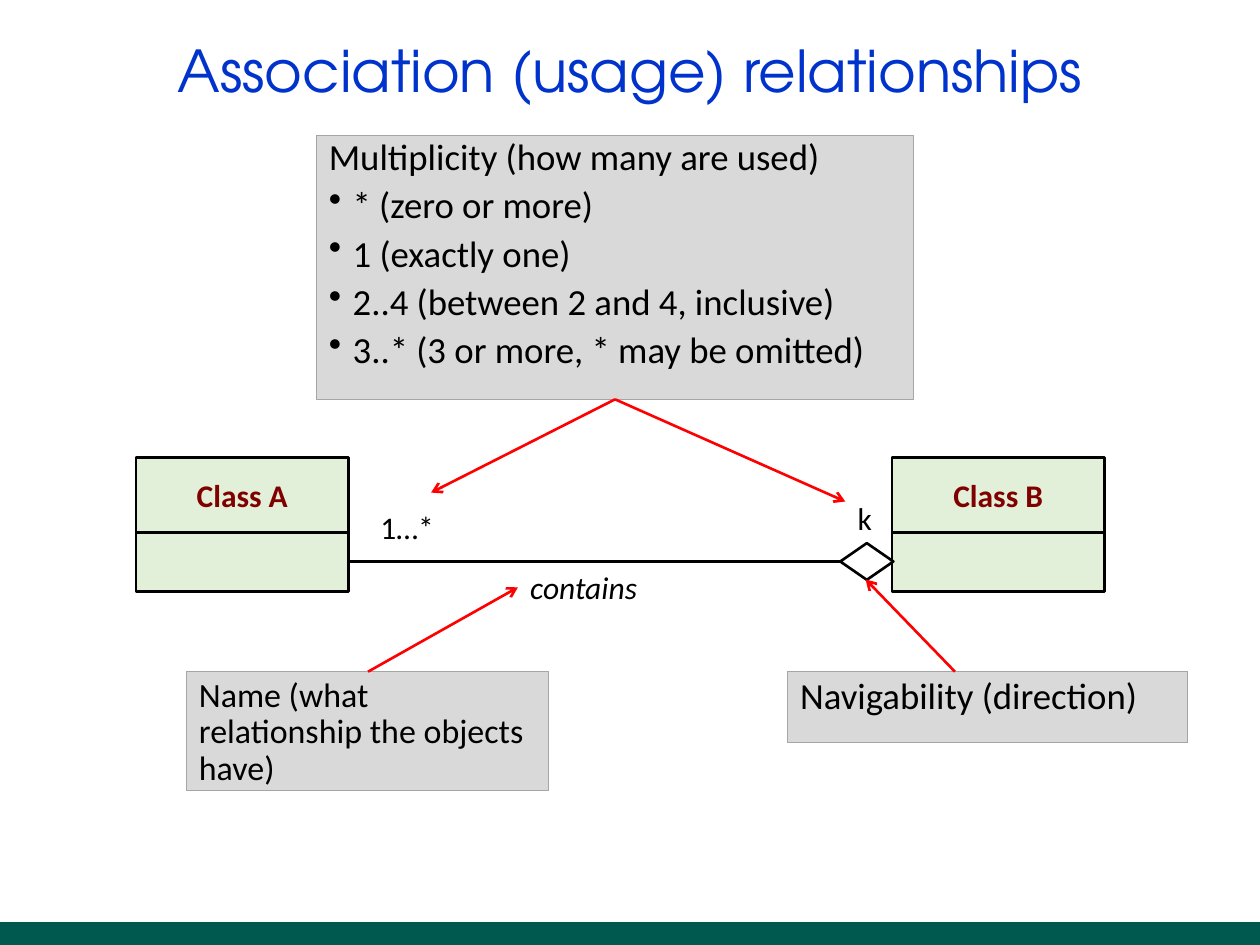
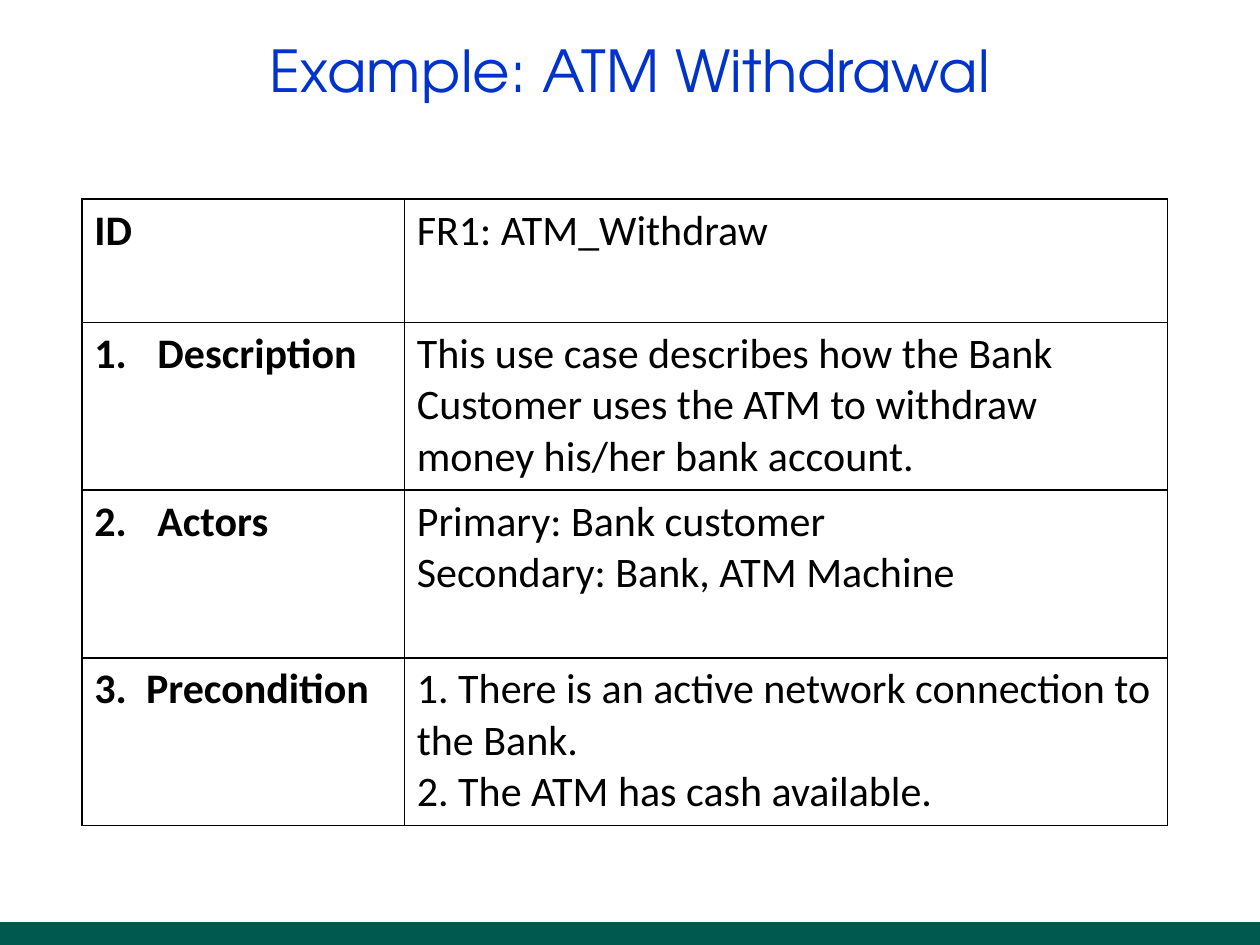
from collections import namedtuple

from lxml.etree import SubElement
from pptx import Presentation
from pptx.dml.color import RGBColor
from pptx.enum.shapes import MSO_CONNECTOR, MSO_SHAPE
from pptx.enum.text import MSO_ANCHOR, MSO_AUTO_SIZE, PP_ALIGN
from pptx.oxml.ns import qn
from pptx.util import Cm, Pt

BLUE = RGBColor(0x00, 0x33, 0xCC)
TEAL = RGBColor(0x00, 0x59, 0x4F)
BLACK = RGBColor(0x00, 0x00, 0x00)
RED = RGBColor(0xFF, 0x00, 0x00)
MAROON = RGBColor(0x80, 0x00, 0x00)
PALE_GREEN = RGBColor(0xE2, 0xF0, 0xD9)
LIGHT_GREY = RGBColor(0xD9, 0xD9, 0xD9)
MID_GREY = RGBColor(0xA5, 0xA5, 0xA5)

TITLE_FONT = "TeX Gyre Adventor"
BODY_FONT = "Calibri"

Box = namedtuple("Box", "left top width height")
SLIDE = Box(0, 0, 25.4, 19.05)
BAND_HEIGHT = 0.46

MULTIPLICITIES = [
    "* (zero or more)",
    "1 (exactly one)",
    "2..4 (between 2 and 4, inclusive)",
    "3..* (3 or more, * may be omitted)",
]
USE_CASE = [
    ("ID", None, 0, ["FR1: ATM_Withdraw"]),
    ("Description", 1, 1.27, [
        "This use case describes how the Bank Customer uses the ATM "
        "to withdraw money his/her bank account."]),
    ("Actors", 2, 1.27, [
        "Primary: Bank customer", "Secondary: Bank, ATM Machine"]),
    ("Precondition", 3, 1.04, [
        "1. There is an active network connection to the Bank.",
        "2. The ATM has cash available."]),
]


def in_cm(box):
    return [Cm(length) for length in box]


def add_run(paragraph, text, size, color=BLACK, font=BODY_FONT, bold=False, italic=False):
    run = paragraph.add_run()
    run.text = text
    run.font.name = font
    run.font.size = Pt(size)
    run.font.color.rgb = color
    run.font.bold = bold
    run.font.italic = italic


def hang(paragraph, indent, marker, **attributes):
    properties = paragraph._p.get_or_add_pPr()
    properties.set("marL", str(Cm(indent)))
    properties.set("indent", str(-Cm(indent)))
    SubElement(properties, qn(marker), **attributes)


def next_paragraph(frame, index):
    return frame.add_paragraph() if index else frame.paragraphs[0]


def add_block(slide, kind, box, fill=None, line=None, weight=1.5):
    block = slide.shapes.add_shape(kind, *in_cm(box))
    block.shadow.inherit = False
    if fill is None:
        block.fill.background()
    else:
        block.fill.solid()
        block.fill.fore_color.rgb = fill
    if line is None:
        block.line.fill.background()
    else:
        block.line.color.rgb = line
        block.line.width = Pt(weight)
    return block


def add_link(slide, start, end, color, arrow=False):
    link = slide.shapes.add_connector(
        MSO_CONNECTOR.STRAIGHT, *[Cm(length) for length in (*start, *end)])
    link.line.color.rgb = color
    link.line.width = Pt(1.5)
    if arrow:
        SubElement(link.line._get_or_add_ln(), qn("a:tailEnd"), type="arrow")
    SubElement(link._element.spPr, qn("a:effectLst"))


def add_titled_slide(deck, title):
    slide = deck.slides.add_slide(deck.slide_layouts[6])
    band = Box(0, SLIDE.height - BAND_HEIGHT, SLIDE.width, BAND_HEIGHT)
    add_block(slide, MSO_SHAPE.RECTANGLE, band, TEAL)
    frame = slide.shapes.add_textbox(*in_cm(Box(1.75, 0.3, 21.9, 2.39))).text_frame
    frame.word_wrap = True
    frame.vertical_anchor = MSO_ANCHOR.MIDDLE
    heading = frame.paragraphs[0]
    heading.alignment = PP_ALIGN.CENTER
    heading.line_spacing = 0.9
    add_run(heading, title, 33, BLUE, TITLE_FONT)
    return slide


def add_note(slide, box, text, size=21, spacing=0.9, bullets=()):
    frame = add_block(
        slide, MSO_SHAPE.RECTANGLE, box, LIGHT_GREY, MID_GREY, 0.5).text_frame
    frame.word_wrap = True
    frame.vertical_anchor = MSO_ANCHOR.TOP
    for index, entry in enumerate([text, *bullets]):
        paragraph = next_paragraph(frame, index)
        paragraph.alignment = PP_ALIGN.LEFT
        paragraph.line_spacing = spacing
        paragraph.space_before = Pt(7.5)
        if index:
            hang(paragraph, 0.48, "a:buChar", char="•")
        add_run(paragraph, entry, size)


def add_class(slide, box, name):
    name_height = 1.52
    header = add_block(slide, MSO_SHAPE.FLOWCHART_PROCESS,
                       box._replace(height=name_height), PALE_GREEN, BLACK)
    header.text_frame.vertical_anchor = MSO_ANCHOR.MIDDLE
    heading = header.text_frame.paragraphs[0]
    heading.alignment = PP_ALIGN.CENTER
    add_run(heading, name, 18, MAROON, bold=True)
    members = box._replace(top=box.top + name_height, height=box.height - name_height)
    add_block(slide, MSO_SHAPE.FLOWCHART_PROCESS, members, PALE_GREEN, BLACK)


def add_label(slide, box, text, italic=False):
    frame = slide.shapes.add_textbox(*in_cm(box)).text_frame
    frame.word_wrap = False
    frame.auto_size = MSO_AUTO_SIZE.SHAPE_TO_FIT_TEXT
    add_run(frame.paragraphs[0], text, 18, italic=italic)


def add_association(slide, box):
    class_width = 4.29
    diamond = Box(box.left + 14.2, box.top + 1.73, 1.07, 0.74)
    axis = diamond.top + diamond.height / 2
    class_a = box._replace(width=class_width)
    class_b = class_a._replace(left=box.left + box.width - class_width)
    add_class(slide, class_a, "Class A")
    add_class(slide, class_b, "Class B")
    add_link(slide, (class_a.left + class_width, axis), (diamond.left, axis), BLACK)
    add_block(slide, MSO_SHAPE.DIAMOND, diamond, line=BLACK)
    add_label(slide, Box(box.left + 4.68, box.top + 0.89, 1.6, 1.02), "1…*")
    add_label(slide, Box(box.left + 14.3, box.top + 0.71, 0.81, 1.02), "k")
    add_label(slide, Box(box.left + 7.7, axis, 2.69, 1.02), "contains", italic=True)


def add_callouts(slide, box):
    multiplicity = Box(box.left + 2.62, box.top, 12.04, 5.31)
    name = Box(box.left, box.top + 10.8, 7.29, 2.39)
    navigability = Box(box.left + 12.12, name.top, 8.05, 1.42)
    add_note(slide, multiplicity, "Multiplicity (how many are used)",
             spacing=0.8, bullets=MULTIPLICITIES)
    add_note(slide, name, "Name (what relationship the objects have)", size=19.4)
    add_note(slide, navigability, "Navigability (direction)")
    fork = (multiplicity.left + multiplicity.width / 2,
            multiplicity.top + multiplicity.height)
    arrows = [
        (fork, (box.left + 4.93, box.top + 7.19)),
        (fork, (box.left + 13.28, box.top + 7.37)),
        ((name.left + 3.66, name.top), (box.left + 6.68, box.top + 9.1)),
        ((navigability.left + 3.37, navigability.top),
         (box.left + 13.69, box.top + 8.94)),
    ]
    for start, end in arrows:
        add_link(slide, start, end, RED, arrow=True)


def outline_cell(cell):
    properties = cell._tc.get_or_add_tcPr()
    for index, side in enumerate(("a:lnL", "a:lnR", "a:lnT", "a:lnB")):
        border = properties.makeelement(qn(side), {"w": str(Pt(1))})
        fill = SubElement(border, qn("a:solidFill"))
        SubElement(fill, qn("a:srgbClr"), val=str(BLACK))
        properties.insert(index, border)


def add_use_case(slide, box):
    label_width, id_height = 6.5, 2.49
    table = slide.shapes.add_table(len(USE_CASE), 2, *in_cm(box)).table
    table.first_row = table.horz_banding = False
    table.columns[0].width = Cm(label_width)
    table.columns[1].width = Cm(box.width - label_width)
    step_height = (box.height - id_height) / (len(USE_CASE) - 1)
    for row, (label, number, indent, details) in enumerate(USE_CASE):
        table.rows[row].height = Cm(step_height if row else id_height)
        for column, entries in enumerate(([label], details)):
            cell = table.cell(row, column)
            cell.fill.background()
            outline_cell(cell)
            for index, entry in enumerate(entries):
                paragraph = next_paragraph(cell.text_frame, index)
                if number and column == 0:
                    hang(paragraph, indent, "a:buAutoNum",
                         type="arabicPeriod", startAt=str(number))
                add_run(paragraph, entry, 24, bold=column == 0)


def main():
    deck = Presentation()
    deck.slide_width, deck.slide_height = Cm(SLIDE.width), Cm(SLIDE.height)

    relationships = add_titled_slide(deck, "Association (usage) relationships")
    add_association(relationships, Box(2.74, 9.22, 19.53, 2.7))
    add_callouts(relationships, Box(3.76, 2.74, 20.17, 13.19))

    withdrawal = add_titled_slide(deck, "Example: ATM Withdrawal")
    add_use_case(withdrawal, Box(1.65, 4.01, 21.89, 12.63))

    deck.save("out.pptx")


if __name__ == "__main__":
    main()
